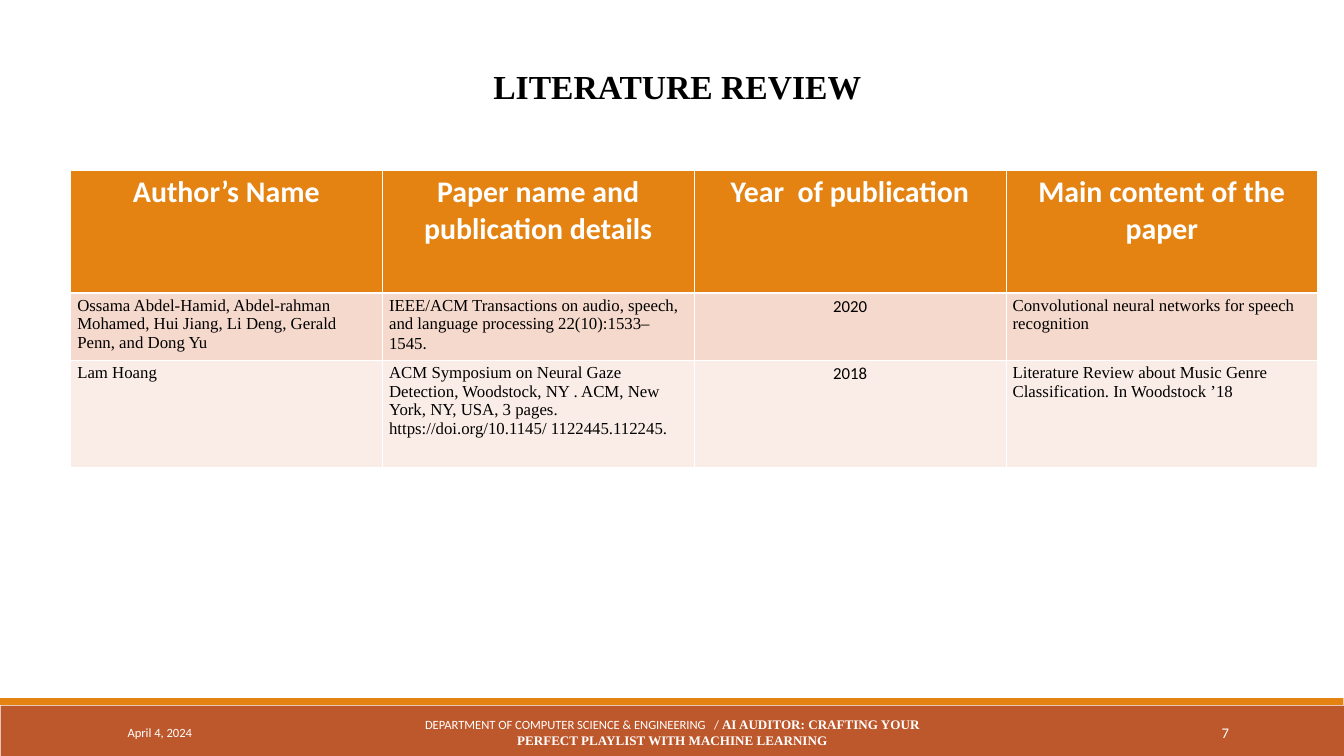
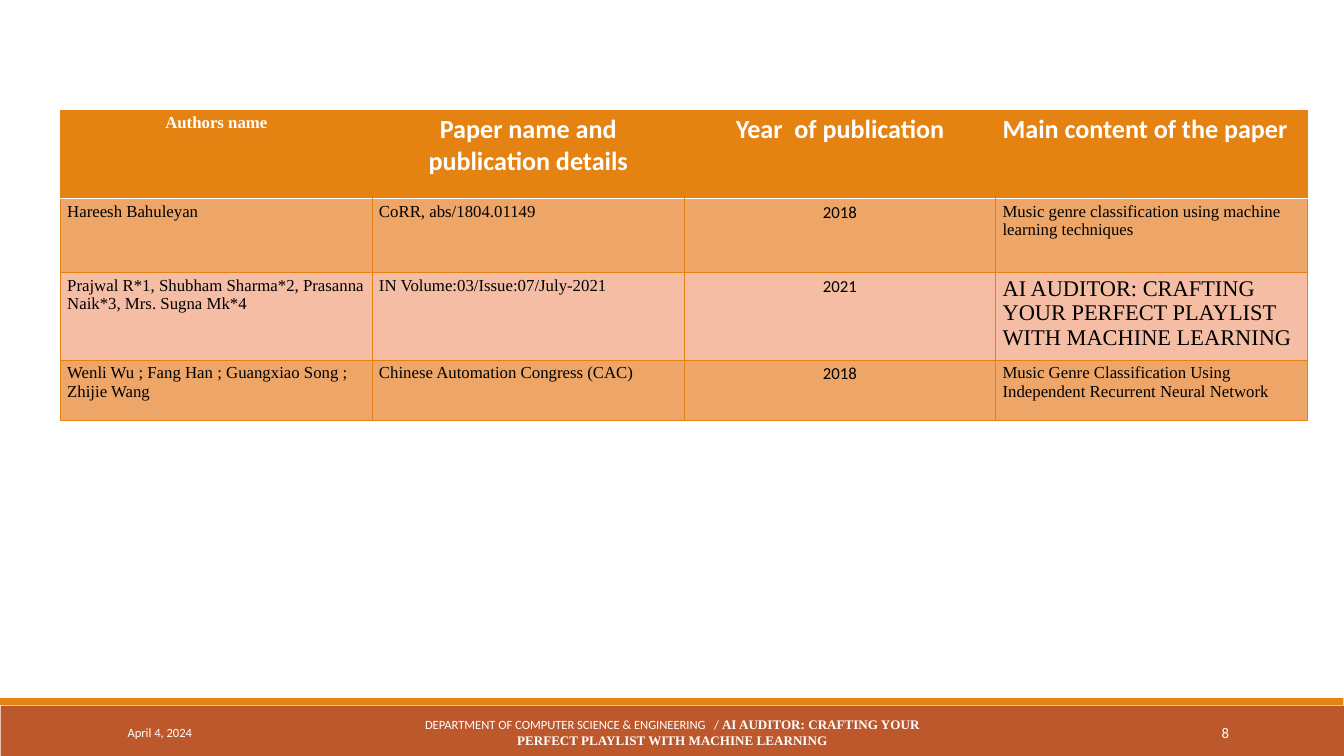
from pptx import Presentation
from pptx.dml.color import RGBColor
from pptx.enum.shapes import MSO_SHAPE as Shape
from pptx.enum.text import MSO_ANCHOR as Anchor, PP_ALIGN as Align
from pptx.oxml import parse_xml
from pptx.oxml.ns import nsdecls
from pptx.util import Inches, Pt

WHITE = RGBColor(0xFF, 0xFF, 0xFF)
BLACK = RGBColor(0, 0, 0)
ORANGE = RGBColor(0xE4, 0x83, 0x12)
RUST = RGBColor(0xBD, 0x58, 0x2C)
ROSE = RGBColor(0xF5, 0xD9, 0xCC)
PALE_ROSE = RGBColor(0xFA, 0xED, 0xE7)
AMBER = RGBColor(0xEE, 0xA6, 0x68)
SALMON = RGBColor(0xF5, 0xBD, 0xA4)

SANS, SERIF = "Calibri", "Times New Roman"
TITLE_ONLY, BLANK = 5, 6
YEAR_COLUMN = 2
COLUMN_WIDTH = 4.64

DATE = "April 4, 2024"
DEPARTMENT = "DEPARTMENT OF COMPUTER SCIENCE & ENGINEERING   / "
PROJECT = "AI AUDITOR: CRAFTING YOUR PERFECT PLAYLIST WITH MACHINE LEARNING"
SHARED_HEADERS = ["Paper name and publication details", "Year  of publication",
                  "Main content of the paper"]

FIRST_PAPERS = [
    ["Author’s Name"] + SHARED_HEADERS,
    ["Ossama Abdel-Hamid, Abdel-rahman Mohamed, Hui Jiang, Li Deng, Gerald Penn, and Dong Yu",
     "IEEE/ACM Transactions on audio, speech, and language processing 22(10):1533–1545",
     "2020", "Convolutional neural networks for speech recognition"],
    ["Lam Hoang",
     "ACM Symposium on Neural Gaze Detection, Woodstock, NY . ACM, New York, NY, USA, "
     "3 pages. https://doi.org/10.1145/ 1122445.112245.",
     "2018", "Literature Review about Music Genre Classification. In Woodstock ’18"],
]
MORE_PAPERS = [
    ["Authors name"] + SHARED_HEADERS,
    ["Hareesh Bahuleyan", "CoRR, abs/1804.01149", "2018",
     "Music genre classification using machine learning techniques"],
    ["Prajwal R*1, Shubham Sharma*2, Prasanna Naik*3, Mrs. Sugna Mk*4",
     "IN Volume:03/Issue:07/July-2021", "2021", PROJECT],
    ["Wenli Wu ; Fang Han ; Guangxiao Song ; Zhijie Wang",
     "Chinese Automation Congress (CAC)", "2018",
     "Music Genre Classification Using Independent Recurrent Neural Network"],
]


def style_run(r, size, font, color, bold=False):
    r.font.size, r.font.name, r.font.bold = Pt(size), font, bold
    r.font.color.rgb = color


def set_borders(cell, edges):
    """Draw cell edges from a dict of side (L, R, T, B, in that order) to (colour, points)."""
    tc_pr = cell._tc.get_or_add_tcPr()
    for i, (side, (color, points)) in enumerate(edges.items()):
        fill = f'<a:solidFill><a:srgbClr val="{color}"/></a:solidFill>' if points else "<a:noFill/>"
        tc_pr.insert(i, parse_xml(
            f'<a:ln{side} {nsdecls("a")} w="{Pt(points)}">{fill}</a:ln{side}>'))


class Deck:
    def __init__(self):
        self.prs = Presentation()
        self.prs.slide_width, self.prs.slide_height = Inches(20), Inches(11.25)
        self.s = None

    def new_slide(self, layout, number):
        self.s = self.prs.slides.add_slide(self.prs.slide_layouts[layout])
        self.band(0.01, 10.5, 0.75, RUST)
        self.band(0, 10.39, 0.1, ORANGE)
        self.footer(1.8, 4.06, Align.LEFT, [(DATE, 13.5, SANS, WHITE)])
        self.footer(6.05, 7.91, Align.CENTER, [(DEPARTMENT, 13.5, SANS, WHITE),
                                               (PROJECT, 14, SERIF, WHITE, True)])
        self.footer(16.24, 2.15, Align.RIGHT, [(str(number), 15.8, SANS, WHITE)])

    def band(self, left, top, height, color):
        sp = self.s.shapes.add_shape(Shape.RECTANGLE, Inches(left), Inches(top),
                                     Inches(19.99), Inches(height))
        sp.shadow.inherit = False
        sp.fill.solid()
        sp.fill.fore_color.rgb = color
        sp.line.fill.background()

    def footer(self, left, width, align, runs):
        tf = self.s.shapes.add_textbox(Inches(left), Inches(10.6),
                                       Inches(width), Inches(0.6)).text_frame
        tf.word_wrap = True
        tf.vertical_anchor = Anchor.MIDDLE
        p = tf.paragraphs[0]
        p.alignment = align
        for text, *style in runs:
            r = p.add_run()
            r.text = text
            style_run(r, *style)

    def title(self, text):
        sp = self.s.shapes.title
        sp.left, sp.top = Inches(0.61), Inches(0.63)
        sp.width, sp.height = Inches(18.44), Inches(0.9)
        tf = sp.text_frame
        tf.text = text
        tf.vertical_anchor = Anchor.TOP
        p = tf.paragraphs[0]
        p.alignment, p.line_spacing = Align.CENTER, 1.5
        p._p.get_or_add_pPr().set("marL", str(Inches(0.5)))
        style_run(p.runs[0], 36, SERIF, BLACK, True)

    def paper_table(self, left, top, heights, rows, header_size, fills, grid, rule, header_columns):
        """Add a header row over rows of papers; fills alternate, rule is the line under the header."""
        table = self.s.shapes.add_table(
            len(rows), len(rows[0]), Inches(left), Inches(top),
            Inches(COLUMN_WIDTH * len(rows[0])), Inches(sum(heights))).table
        for column in table.columns:
            column.width = Inches(COLUMN_WIDTH)
        last = len(rows[0]) - 1
        for i, (texts, height) in enumerate(zip(rows, heights)):
            table.rows[i].height = Inches(height)
            for j, text in enumerate(texts):
                cell = table.cell(i, j)
                cell.text = text
                p = cell.text_frame.paragraphs[0]
                header = i == 0
                if header or j == YEAR_COLUMN:
                    p.alignment = Align.CENTER
                if header:
                    style_run(p.runs[0], header_size, SANS, WHITE, True)
                else:
                    style_run(p.runs[0], 18, SANS if j == YEAR_COLUMN else SERIF, BLACK)
                cell.fill.solid()
                cell.fill.fore_color.rgb = ORANGE if header else fills[(i - 1) % 2]
                inner = grid if header_columns or not header else (grid[0], 0)
                set_borders(cell, {"L": grid if j == 0 else inner,
                                   "R": grid if j == last else inner,
                                   "T": rule if i == 1 else grid,
                                   "B": rule if header else grid})
        return table


def main():
    deck = Deck()

    deck.new_slide(TITLE_ONLY, 7)
    deck.title("LITERATURE REVIEW")
    table = deck.paper_table(1.05, 2.54, [1.82, 1, 1.6], FIRST_PAPERS, 32, [ROSE, PALE_ROSE],
                             (WHITE, 1), (WHITE, 3), header_columns=True)
    r = table.cell(1, 1).text_frame.paragraphs[0].add_run()
    r.text = "."
    style_run(r, 18, SANS, BLACK)

    deck.new_slide(BLANK, 8)
    table = deck.paper_table(0.9, 1.64, [1.32, 1.1, 1.3, 0.9], MORE_PAPERS, 28, [AMBER, SALMON],
                             (ORANGE, 1), (WHITE, 1.25), header_columns=False)
    authors, content, project = (table.cell(i, j).text_frame.paragraphs[0]
                                 for i, j in [(0, 0), (0, 3), (2, 3)])
    style_run(authors.runs[0], 18, SERIF, WHITE, True)
    content.alignment = Align.LEFT
    project.runs[0].font.size = Pt(24)

    deck.prs.save("out.pptx")


if __name__ == "__main__":
    main()
